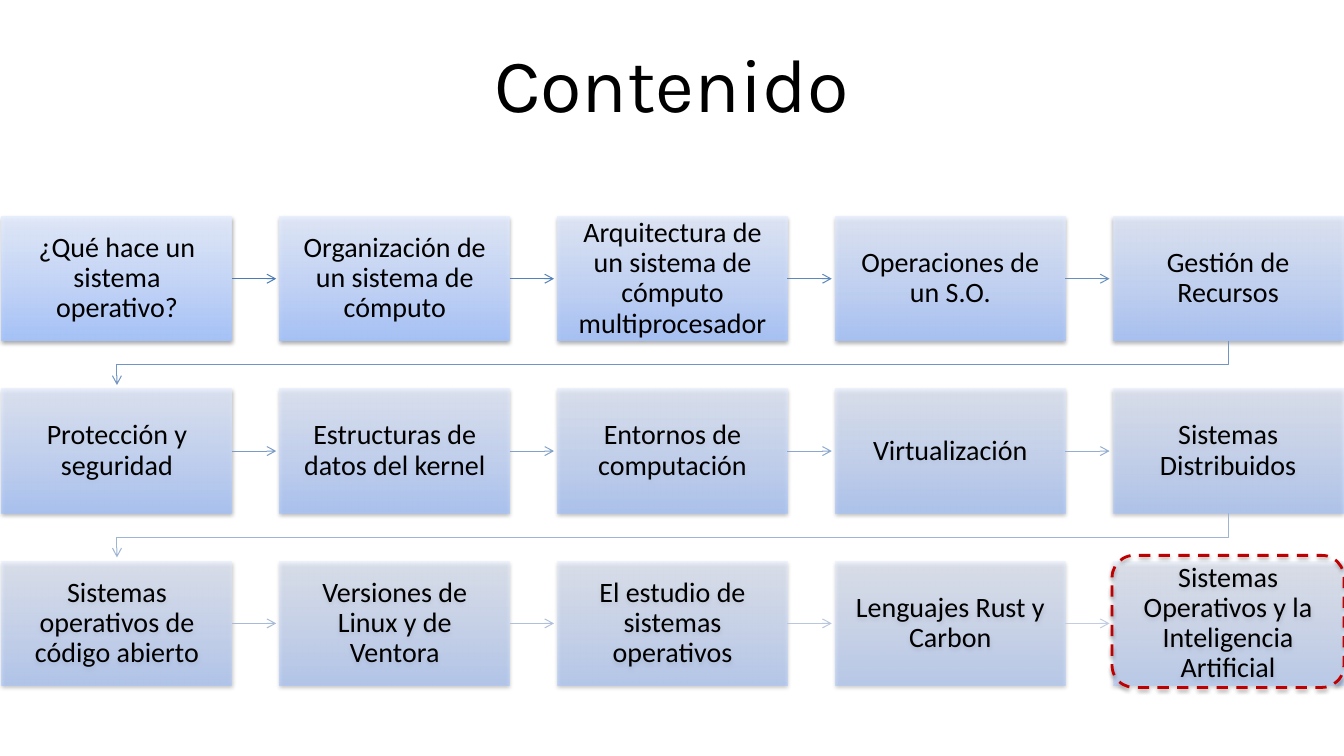
"""Build the contents slide: fifteen topics chained by arrows in three rows."""
from dataclasses import dataclass

from lxml.etree import SubElement
from pptx import Presentation
from pptx.dml.color import RGBColor
from pptx.enum.dml import MSO_LINE_DASH_STYLE as Dash
from pptx.enum.shapes import MSO_CONNECTOR as Connector, MSO_SHAPE as Preset
from pptx.enum.text import MSO_ANCHOR as Anchor, PP_ALIGN as Align
from pptx.oxml.ns import qn
from pptx.shapes.autoshape import Shape
from pptx.slide import Slide
from pptx.util import Inches, Pt

COLUMNS = 5
LEFT, TOP = 0.02, 2.15
BOX_WIDTH, BOX_HEIGHT = 2.28, 1.23
COLUMN_STEP, ROW_STEP = 2.755, 1.71
ARROW_LENGTH = 0.44
GRADIENT = ((0, "A4C4FF"), (35, "BFD4FF"), (100, "E6EEFF"))
FIRST_ARROW, LAST_ARROW = (75, 123, 181), (194, 205, 225)
TOPICS = (
    "¿Qué hace un sistema operativo?",
    "Organización de un sistema de cómputo",
    "Arquitectura de un sistema de cómputo multiprocesador",
    "Operaciones de un S.O.",
    "Gestión de Recursos",
    "Protección y seguridad",
    "Estructuras de datos del kernel",
    "Entornos de computación",
    "Virtualización",
    "Sistemas Distribuidos",
    "Sistemas operativos de código abierto",
    "Versiones de Linux y de Ventora",
    "El estudio de sistemas operativos",
    "Lenguajes Rust y Carbon",
    "Sistemas Operativos y la Inteligencia Artificial",
)


@dataclass(frozen=True)
class Topic:
    """One step of the chain."""
    text: str
    left: float
    top: float
    opacity: float
    arrow_color: str


def color(value: str) -> RGBColor:
    """Turn a hex string into a colour."""
    return RGBColor.from_string(value)


def plan_topics() -> list[Topic]:
    """Place the topics on the grid and fade them along the chain."""
    last = len(TOPICS) - 1
    topics = []
    for index, text in enumerate(TOPICS):
        row, column = divmod(index, COLUMNS)
        share = min(index / (last - 1), 1)
        arrow = "".join(f"{round(a + (b - a) * share):02X}"
                        for a, b in zip(FIRST_ARROW, LAST_ARROW))
        topics.append(Topic(text, LEFT + column * COLUMN_STEP,
                            TOP + row * ROW_STEP, 90 - 40 * index / last, arrow))
    return topics


def add_element(parent, tag: str, **attributes):
    """Append a drawing element with its attributes."""
    return SubElement(parent, qn(f"a:{tag}"),
                      {key: str(value) for key, value in attributes.items()})


def add_color(parent, value: str, opacity: float) -> None:
    """Append a colour with its opacity in percent."""
    node = add_element(parent, "srgbClr", val=value)
    add_element(node, "alpha", val=round(opacity * 1000))


def set_shadow(shape: Shape, opacity: float, distance: float) -> None:
    """Give the shape a soft shadow below it."""
    shape.shadow.inherit = False
    effects = shape._element.spPr.find(qn("a:effectLst"))
    shadow = add_element(effects, "outerShdw", blurRad=Pt(3.1), dist=Pt(distance),
                         dir=5400000, rotWithShape=0)
    add_color(shadow, "000000", opacity)


def set_gradient(shape: Shape, opacity: float) -> None:
    """Fill the shape with the translucent gradient, darkest at the bottom."""
    shape.fill.gradient()
    fill = shape._element.spPr.find(qn("a:gradFill"))
    for child in list(fill):
        fill.remove(child)
    stops = add_element(fill, "gsLst")
    for position, value in GRADIENT:
        add_color(add_element(stops, "gs", pos=position * 1000), value, opacity)
    add_element(fill, "lin", ang=16200000, scaled=1)


def add_text(shape: Shape, text: str, font: str, size: float,
             inset: float, spacing: float) -> None:
    """Write one centred black paragraph in the shape."""
    frame = shape.text_frame
    frame.word_wrap = True
    frame.vertical_anchor = Anchor.MIDDLE
    frame.margin_left = frame.margin_right = Inches(inset)
    frame.margin_top = frame.margin_bottom = Inches(inset)
    paragraph = frame.paragraphs[0]
    paragraph.alignment = Align.CENTER
    paragraph.line_spacing = spacing
    run = paragraph.add_run()
    run.text = text
    run.font.name = font
    run.font.size = Pt(size)
    run.font.color.rgb = color("000000")


def add_topic(slide: Slide, topic: Topic) -> Shape:
    """Draw the box of a topic."""
    box = slide.shapes.add_shape(Preset.RECTANGLE, Inches(topic.left), Inches(topic.top),
                                 Inches(BOX_WIDTH), Inches(BOX_HEIGHT))
    set_gradient(box, topic.opacity)
    box.line.fill.background()
    set_shadow(box, 38, 1.6)
    add_text(box, topic.text, "Calibri", 20, 0.16, 0.9)
    return box


def style_arrow(arrow, value: str) -> None:
    """Set the line of an arrow and its open head."""
    arrow.line.color.rgb = color(value)
    arrow.line.width = Pt(0.75)
    add_element(arrow.line._get_or_add_ln(), "tailEnd", type="arrow")
    add_element(arrow._element.spPr, "effectLst")


def add_side_arrow(slide: Slide, topic: Topic, box: Shape) -> None:
    """Draw the arrow to the next topic in the row."""
    right, middle = topic.left + BOX_WIDTH, topic.top + BOX_HEIGHT / 2
    arrow = slide.shapes.add_connector(Connector.STRAIGHT, Inches(right), Inches(middle),
                                       Inches(right + ARROW_LENGTH), Inches(middle))
    arrow.begin_connect(box, 3)
    style_arrow(arrow, topic.arrow_color)


def add_return_arrow(slide: Slide, topic: Topic) -> None:
    """Draw the bent arrow from the end of a row to the start of the next."""
    start_x, end_x = topic.left + BOX_WIDTH / 2, LEFT + BOX_WIDTH / 2
    start_y = topic.top + BOX_HEIGHT
    turn_y, end_y = start_y + 0.24, start_y + ARROW_LENGTH
    builder = slide.shapes.build_freeform(Inches(start_x), Inches(start_y))
    corners = ((start_x, turn_y), (end_x, turn_y), (end_x, end_y))
    builder.add_line_segments([(Inches(x), Inches(y)) for x, y in corners], close=False)
    arrow = builder.convert_to_shape()
    arrow.fill.background()
    style_arrow(arrow, topic.arrow_color)


def add_highlight(slide: Slide) -> None:
    """Draw the dashed frame around the last topic."""
    frame = slide.shapes.add_shape(Preset.ROUNDED_RECTANGLE, Inches(11.03), Inches(5.51),
                                   Inches(2.3), Inches(1.31))
    frame.fill.background()
    frame.line.color.rgb = color("C00000")
    frame.line.width = Pt(2)
    frame.line.dash_style = Dash.DASH
    set_shadow(frame, 35, 1.8)


def main() -> None:
    """Build and save the slide."""
    presentation = Presentation()
    presentation.slide_width, presentation.slide_height = Inches(13.33), Inches(7.5)
    slide = presentation.slides.add_slide(presentation.slide_layouts[6])
    title = slide.shapes.add_textbox(Inches(0.91), Inches(0.09), Inches(11.5), Inches(1.45))
    add_text(title, "Contenido", "Karla", 54, 0.05, 1)
    topics = plan_topics()
    for number, topic in enumerate(topics, start=1):
        box = add_topic(slide, topic)
        if number % COLUMNS:
            add_side_arrow(slide, topic, box)
        elif number < len(topics):
            add_return_arrow(slide, topic)
    add_highlight(slide)
    presentation.save("out.pptx")


if __name__ == "__main__":
    main()
